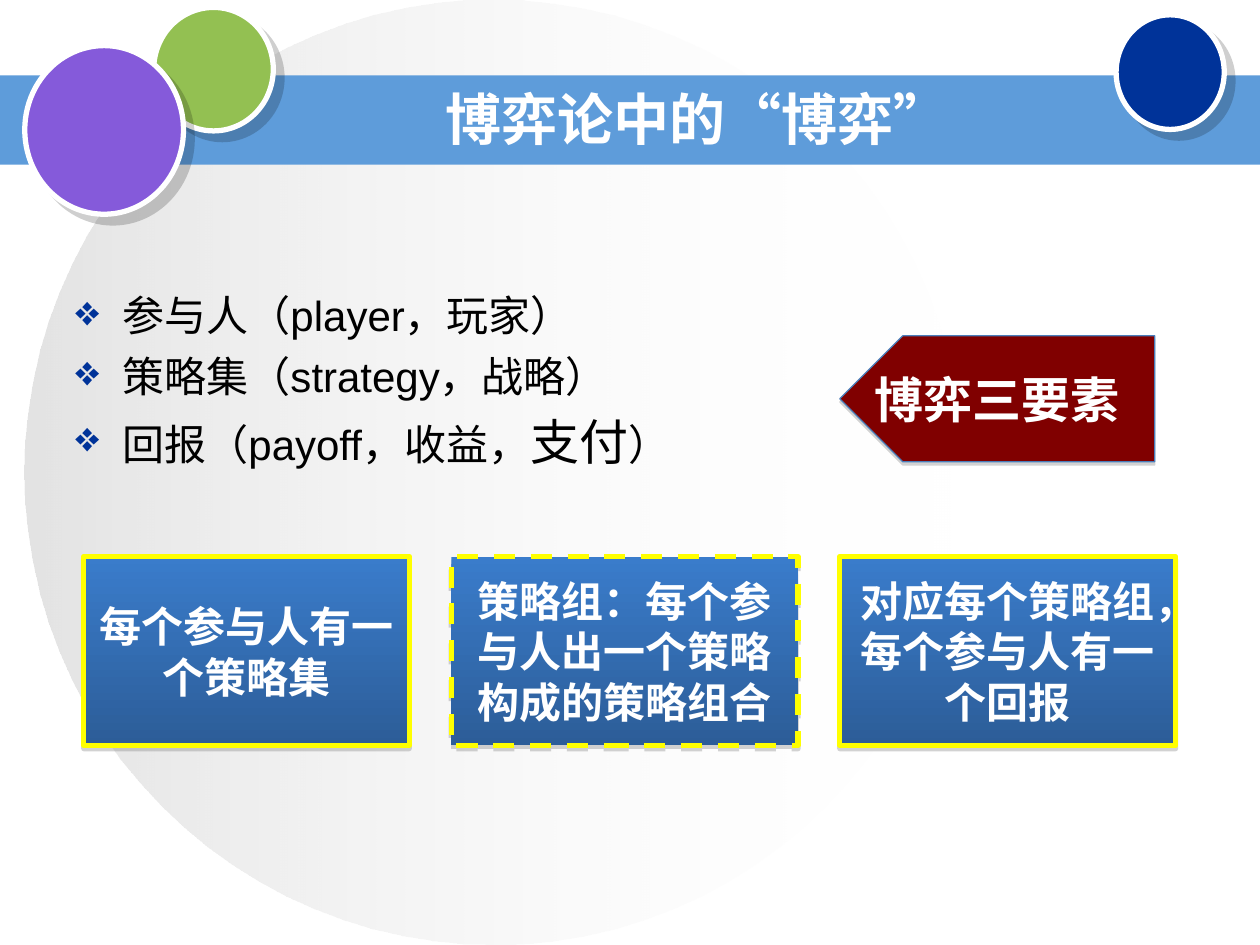
import pptx
import pptx.dml.color
import pptx.enum.dml
import pptx.enum.lang
import pptx.enum.shapes
import pptx.enum.text
import pptx.oxml
import pptx.oxml.ns
import pptx.util

Cm = pptx.util.Cm
Pt = pptx.util.Pt
KIND = pptx.enum.shapes.MSO_SHAPE
ALIGN = pptx.enum.text.PP_ALIGN
MIDDLE = pptx.enum.text.MSO_ANCHOR.MIDDLE
DASH = pptx.enum.dml.MSO_LINE.DASH
NS = pptx.oxml.ns.nsdecls("a")


def tint(code):
    return pptx.dml.color.RGBColor.from_string(code)


def node(xml):
    """Parse one DrawingML element, adding its namespace."""
    head, rest = xml.split(" ", 1)
    return pptx.oxml.parse_xml(f"{head} {NS} {rest}")


class Deck:
    font = "Arial"
    white = "FFFFFF"
    ball = ("000000", 19, 7.1, 0.79)
    soft = ("808080", 35, 1.8, 90)

    def __init__(self):
        self.file = pptx.Presentation()
        self.file.slide_width, self.file.slide_height = Cm(25.4), Cm(19.05)
        self.slide = self.file.slides.add_slide(self.file.slide_layouts[6])
        self.shapes = self.slide.shapes

    def style(self, run, size, color, bold=False):
        form = {"name": self.font, "size": Pt(size), "bold": bold,
                "language_id": pptx.enum.lang.MSO_LANGUAGE_ID.SIMPLIFIED_CHINESE}
        for key, value in form.items():
            setattr(run.font, key, value)
        run.font.color.rgb = tint(color)

    def shade(self, shape, color, alpha, dist, angle):
        """Add a hard outer shadow."""
        effects = shape._element.spPr.find(pptx.oxml.ns.qn("a:effectLst"))
        effects.append(node(
            f'<a:outerShdw dist="{Pt(dist)}" dir="{round(angle * 60000)}" '
            f'algn="ctr" rotWithShape="0"><a:srgbClr val="{color}">'
            f'<a:alpha val="{alpha * 1000}"/></a:srgbClr></a:outerShdw>'))

    def paint(self, shape, fill, line=None, width=3, shadow=None):
        shape.shadow.inherit = False
        shape.fill.solid()
        shape.fill.fore_color.rgb = tint(fill)
        if line:
            shape.line.color.rgb = tint(line)
            shape.line.width = Pt(width)
        else:
            shape.line.fill.background()
        if shadow:
            self.shade(shape, *shadow)
        return shape

    def blend(self, shape, colors, angle, alphas=()):
        """Fill with a two-colour gradient, angle counter-clockwise."""
        shape.fill.gradient()
        shape.fill.gradient_angle = angle
        for stop, color in zip(shape.fill.gradient_stops, colors):
            stop.color.rgb = tint(color)
        marks = shape._element.spPr.xpath("./a:gradFill//a:srgbClr")
        for mark, alpha in zip(marks, alphas):
            mark.append(node(f'<a:alpha val="{alpha * 1000}"/>'))

    def form(self, kind, box, fill, **look):
        shape = self.shapes.add_shape(kind, *map(Cm, box))
        return self.paint(shape, fill, **look)

    def label(self, shape, text, size):
        frame = shape.text_frame
        frame.word_wrap = True
        frame.vertical_anchor = MIDDLE
        para = frame.paragraphs[0]
        para.alignment = ALIGN.CENTER
        run = para.add_run()
        run.text = text
        self.style(run, size, self.white, True)

    def title(self, box, text):
        self.label(self.shapes.add_textbox(*map(Cm, box)), text, 32)

    def card(self, box, text, dash=None):
        shape = self.form(KIND.RECTANGLE, box, "3A7CCB", line="FFFF00",
                          shadow=self.soft)
        self.blend(shape, ("3A7CCB", "2C5D98"), 270)
        if dash:
            shape.line.dash_style = dash
        self.label(shape, text, 24)

    def tag(self, box, tip, text):
        """Draw a label whose left end is a point."""
        left, top, wide, high = box
        right, low = left + wide, top + high
        dots = [(right, top), (left + tip, top), (left, top + high / 2),
                (left + tip, low), (right, low)]
        dots = [(Cm(x), Cm(y)) for x, y in dots]
        path = self.shapes.build_freeform(*dots[0])
        path.add_line_segments(dots[1:], close=True)
        shape = self.paint(path.convert_to_shape(), "800000", "4A7EBB", 0.75,
                           self.soft)
        self.label(shape, text, 28)

    def points(self, box, rows):
        frame = self.shapes.add_textbox(*map(Cm, box)).text_frame
        frame.word_wrap = True
        for i, row in enumerate(rows):
            para = frame.add_paragraph() if i else frame.paragraphs[0]
            props = para._p.get_or_add_pPr()
            props.set("marL", str(Cm(0.95)))
            props.set("indent", str(-Cm(0.95)))
            props.append(node('<a:buClr ><a:srgbClr val="003399"/></a:buClr>'))
            props.append(node('<a:buChar char="❖"/>'))
            para.space_before = Pt(6 if i else 0)
            for text, size in row:
                run = para.add_run()
                run.text = text
                self.style(run, size, "000000")


def main():
    deck = Deck()
    halo = deck.form(KIND.OVAL, (0.5, 0, 18.9, 19.05), "C0C0C0")
    deck.blend(halo, ("C0C0C0", "FFFFFF"), 0, (44, 0))
    deck.form(KIND.RECTANGLE, (0, 1.52, 25.4, 1.8), "5E9CDA")
    for box, color in (((3.1, 0.15, 2.41, 2.49), "93C052"),
                       ((22.5, 0.3, 2.18, 2.31), "003399"),
                       ((0.5, 0.92, 3.2, 3.4), "855ADA")):
        deck.form(KIND.OVAL, box, color, line=deck.white,
                  shadow=(*deck.ball[:3], 45))

    deck.title((5.72, 1.7, 16.7, 1.35), "博弈论中的“博弈”")
    deck.points((1.27, 5.72, 15.67, 5.5), [
        [("参与人（player，玩家）", 24)],
        [("策略集（strategy，战略）", 24)],
        [("回报（payoff，收益，", 24), ("支付", 28), ("）", 24)],
    ])
    deck.tag((16.93, 6.77, 6.35, 2.54), 1.27, "博弈三要素")

    for left, wide, text, dash in (
            (1.69, 6.56, "每个参与人有一个策略集", None),
            (9.1, 6.99, "策略组：每个参与人出一个策略构成的策略组合", DASH),
            (16.93, 6.77, "对应每个策略组，每个参与人有一个回报", None)):
        deck.card((left, 11.22, wide, 3.81), text, dash)
    deck.file.save("out.pptx")


if __name__ == "__main__":
    main()
